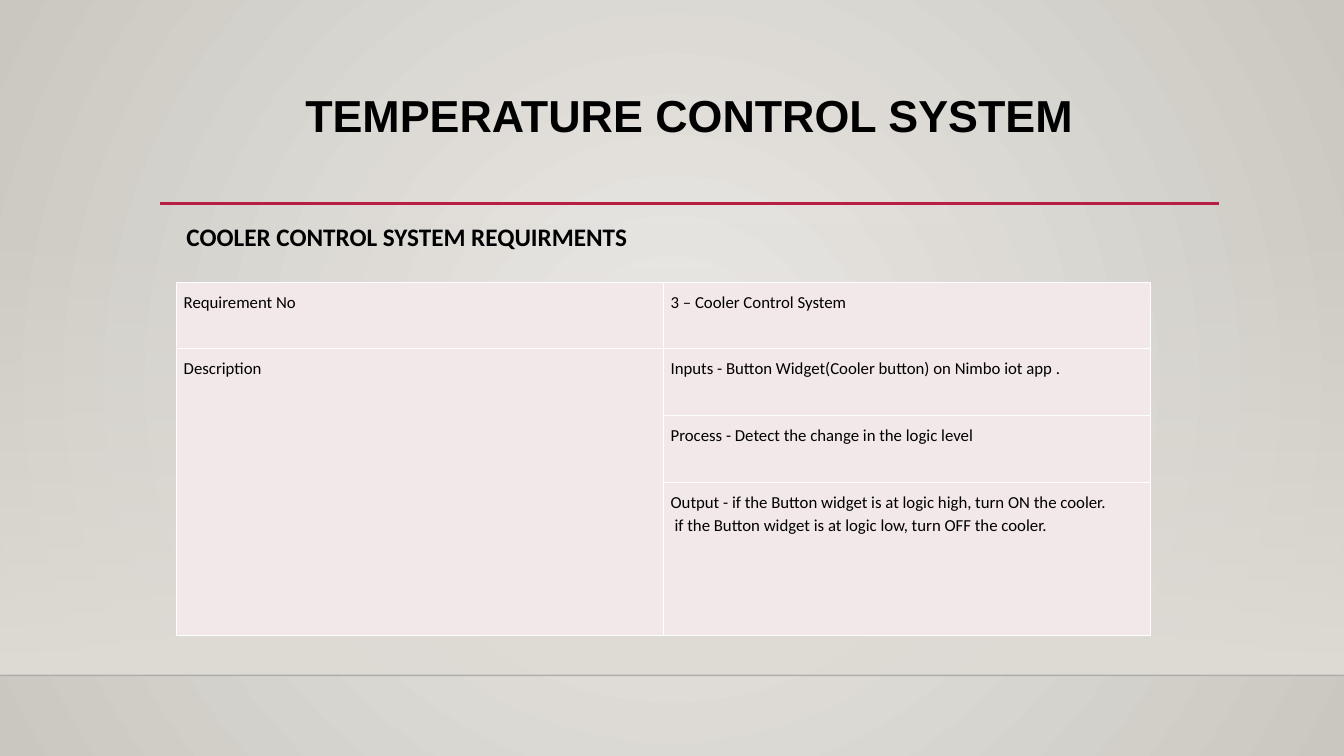
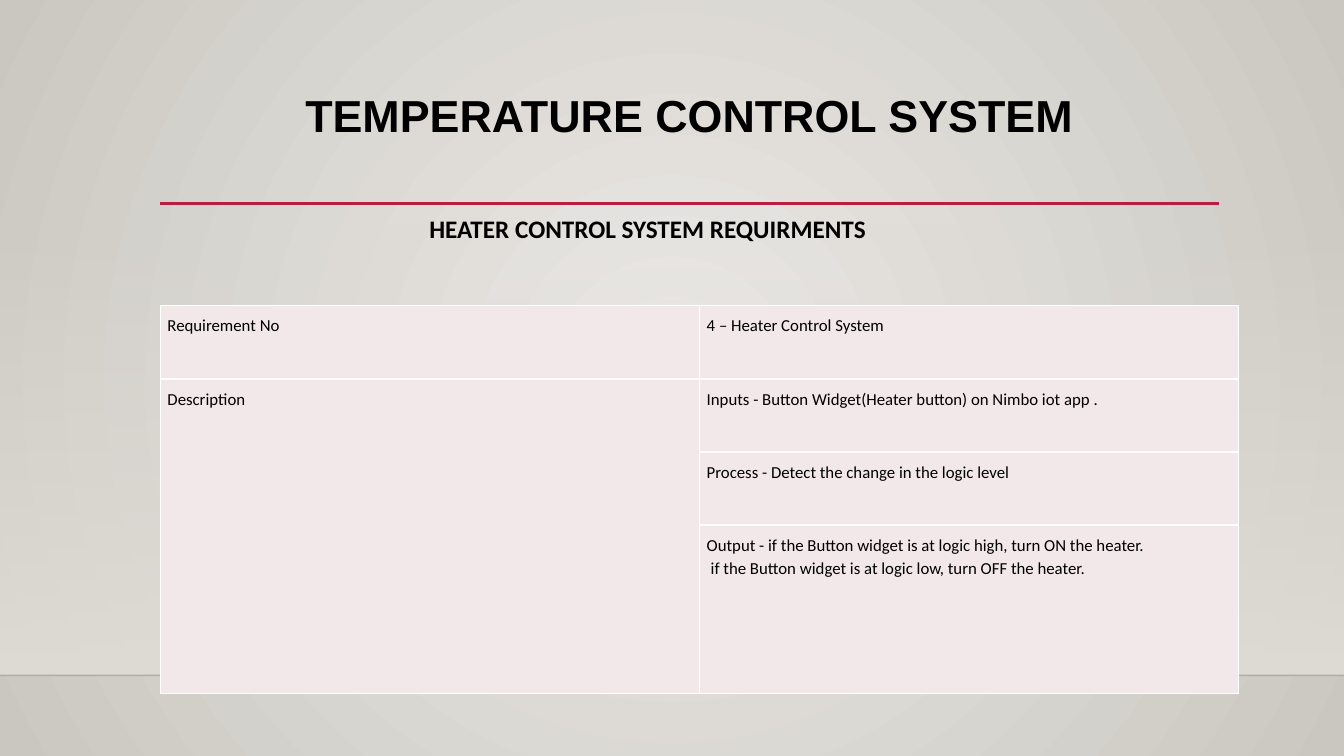
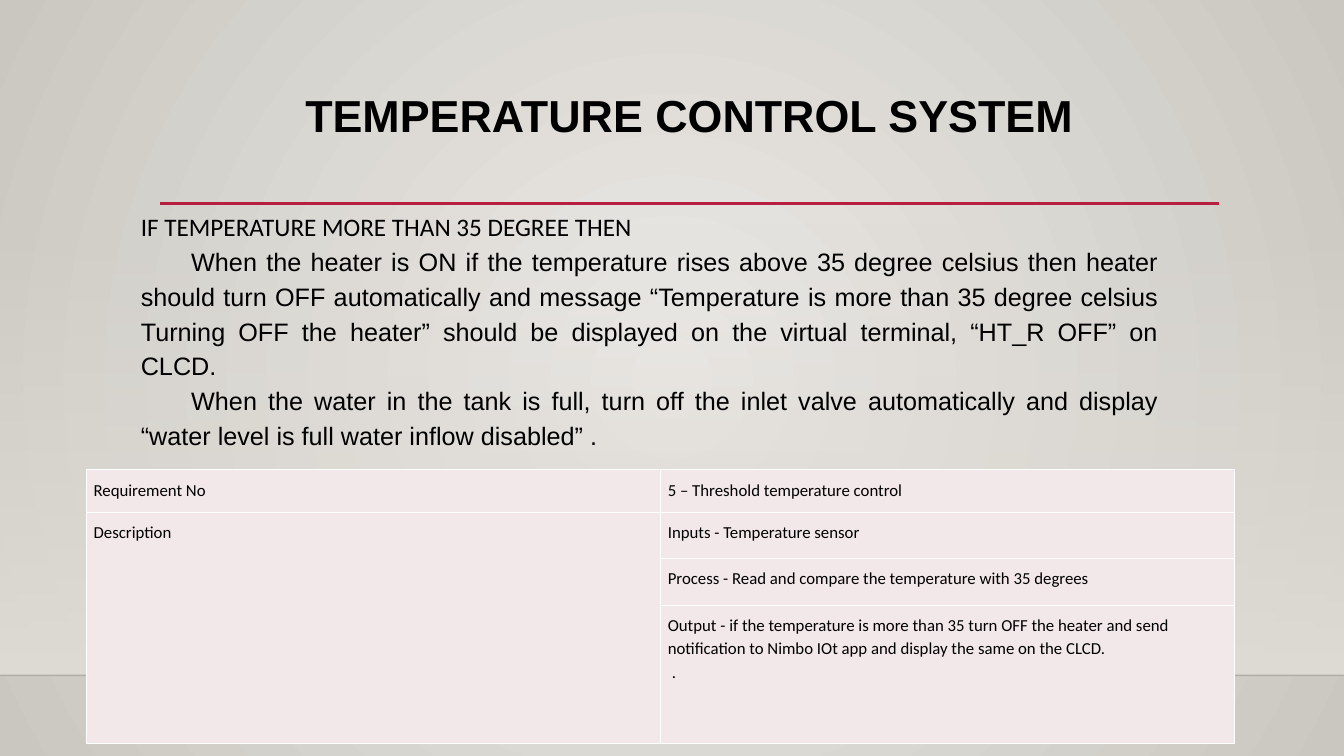
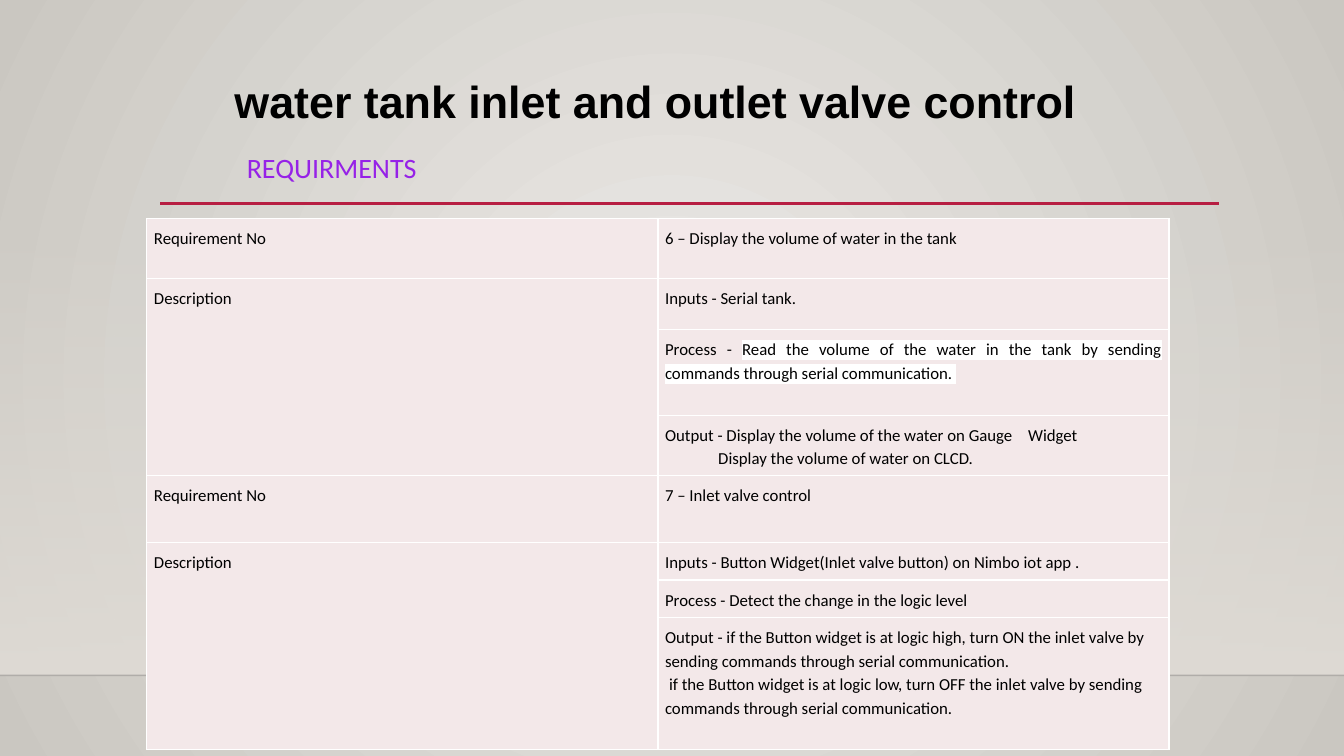
"""Builds four slides of requirement tables for a temperature and water tank control system."""
from lxml import etree
from pptx import Presentation
from pptx.dml.color import RGBColor
from pptx.enum import shapes, text
from pptx.oxml.ns import qn
from pptx.util import Cm, Pt

INK, WHITE, RED, ROSE, VIOLET = "000000", "FFFFFF", "B71E42", "F3E8E9", "9622E7"
WIDE, HIGH = 33.87, 19.05
BASE = 17.02
JUST = text.PP_ALIGN.JUSTIFY


def tint(code):
    return RGBColor.from_string(code)


def write(frame, words, size=18, font="Calibri", color=INK, bold=False, align=None,
          space=None, first=0, tab=0, mark=None, join=False):
    para = frame.paragraphs[-1]
    if para.runs and not join:
        para = frame.add_paragraph()
    if align is not None:
        para.alignment = align
    if space:
        para.line_spacing = space
    props = para._p.get_or_add_pPr()
    if first:
        props.set("marL", "0")
        props.set("indent", str(Cm(first)))
    if tab:
        tabs = etree.SubElement(props, qn("a:tabLst"))
        etree.SubElement(tabs, qn("a:tab"), pos=str(Cm(tab)), algn="l")
    run = para.add_run()
    run.text = words
    run.font.size, run.font.name, run.font.bold = Pt(size), font, bold
    run.font.color.rgb = tint(color)
    if mark:
        glow = etree.Element(qn("a:highlight"))
        etree.SubElement(glow, qn("a:srgbClr"), val=mark)
        run.font._element.find(qn("a:solidFill")).addnext(glow)


deck = Presentation()
deck.slide_width, deck.slide_height = Cm(WIDE), Cm(HIGH)
blank = deck.slide_layouts[6]
slides = [deck.slides.add_slide(blank) for _ in range(4)]

back = blank.background.fill
back.gradient()
for stop, code in zip(back.gradient_stops, ("ECEAE7", "CAC7C1")):
    stop.color.rgb = tint(code)
for stop, place in zip(back.gradient_stops, (0, 1)):
    stop.position = place
line = next(blank.element.iter(qn("a:lin")))
ring = etree.Element(qn("a:path"), {"path": "circle"})
etree.SubElement(ring, qn("a:fillToRect"), l="50000", t="50000", r="50000", b="50000")
line.getparent().replace(line, ring)

draft = slides[0].shapes
band = draft.add_shape(shapes.MSO_SHAPE.RECTANGLE, 0, Cm(5.61), Cm(WIDE), Cm(BASE - 5.61))
band.shadow.inherit = False
band.line.fill.background()
band.fill.gradient()
band.fill.gradient_angle = 270
for stop, place in zip(band.fill.gradient_stops, (0, 1)):
    stop.color.rgb = tint("DFDBD5")
    stop.position = place
etree.SubElement(next(band.element.iter(qn("a:srgbClr"))), qn("a:alpha"), val="0")
shared = [band]
for left, right, top, code, weight, alpha in (
        (0, WIDE, BASE, "000001", 1, 20), (4.04, 30.73, 5.13, RED, 2.5, 100)):
    rule = draft.add_connector(shapes.MSO_CONNECTOR.STRAIGHT, Cm(left), Cm(top), Cm(right), Cm(top))
    rule.line.color.rgb = tint(code)
    rule.line.width = Pt(weight)
    etree.SubElement(next(rule.element.iter(qn("a:srgbClr"))), qn("a:alpha"), val=str(alpha * 1000))
    etree.SubElement(rule.element.spPr, qn("a:effectLst"))
    shared.append(rule)
for part in shared:
    blank.shapes.element.append(part.element)

HEAD = dict(size=32, font="Arial", bold=True)
BODY = dict(font="Arial", align=JUST, space=1.15, first=1.27)
title = (4.04, 2.24, 26.67, 2.92,
         [("TEMPERATURE CONTROL SYSTEM", dict(HEAD, align=text.PP_ALIGN.CENTER, space=0.9))])
boxes = [
    [title, (4.45, 5.46, 25.86, 1.02, [("COOLER CONTROL SYSTEM REQUIRMENTS", dict(bold=True))])],
    [title, (10.57, 5.26, 16.94, 1.02, [("HEATER CONTROL SYSTEM REQUIRMENTS", dict(bold=True))])],
    [title, (3.3, 5.21, 26.14, 7.11, [
        ("IF TEMPERATURE MORE THAN 35 DEGREE THEN", {}),
        ("When the heater is ON if the temperature rises above 35 degree celsius then heater should "
         "turn OFF automatically and message “Temperature is more than 35 degree celsius Turning OFF "
         "the heater” should be displayed on the virtual terminal, “HT_R OFF” on CLCD.", BODY),
        ("When the water in the tank is full, turn off the inlet valve automatically and display "
         "“water level is full water inflow disabled” .", BODY)])],
    [(5.66, 1.73, 25.43, 1.63, [("water tank inlet and outlet valve control", HEAD)]),
     (5.97, 3.68, 8.38, 1.12, [("REQUIRMENTS", dict(size=20, color=VIOLET))])],
]
for slide, group in zip(slides, boxes):
    for left, top, width, height, lines in group:
        frame = slide.shapes.add_textbox(Cm(left), Cm(top), Cm(width), Cm(height)).text_frame
        frame.word_wrap = True
        for words, form in lines:
            write(frame, words, **form)

SENSE = [("Process - Detect the change in the logic level", dict(align=JUST))]
NUDGE = dict(first=0.1)
tables = [
    (0, 4.45, 7.11, 24.54, (1.68, 1.68, 1.68, 3.86), "3 – Cooler Control System",
     "Button Widget(Cooler button) on Nimbo iot app .", SENSE,
     [("Output - if the Button widget is at logic high, turn ON the cooler.", {}),
      ("if the Button widget is at logic low, turn OFF the cooler.", NUDGE)]),
    (1, 4.04, 7.7, 27.18, (1.85, 1.84, 1.84, 4.25), "4 – Heater Control System",
     "Button Widget(Heater button) on Nimbo iot app .", SENSE,
     [("Output - if the Button widget is at logic high, turn ON the heater.", {}),
      ("if the Button widget is at logic low, turn OFF the heater.", NUDGE)]),
    (2, 2.18, 11.84, 28.94, (1.07, 1.17, 1.17, 3.49), "5 – Threshold temperature control",
     "Temperature sensor",
     [("Process - Read and compare the temperature with 35 degrees", dict(align=JUST))],
     [("Output - if the temperature is more than 35 turn OFF the heater and send notification "
       "to Nimbo IOt app and display the same on the CLCD.", {}), (".", NUDGE)]),
    (3, 3.7, 5.51, 25.76, (1.5, 1.3, 2.15, 1.53), "6 – Display the volume of water in the tank",
     "Serial tank.",
     [("Process - ", dict(align=JUST)),
      ("Read the volume of the water in the tank by sending commands through serial "
       "communication. ", dict(mark=WHITE, join=True))],
     [("Output - Display the volume of the water on Gauge\tWidget", dict(align=JUST, tab=9.15)),
      ("Display the volume of water on CLCD.", dict(align=JUST, first=1.34))]),
    (3, 3.7, 11.99, 25.76, (1.68, 0.94, 0.94, 3.33), "7 – Inlet valve control",
     "Button Widget(Inlet valve button) on Nimbo iot app .", SENSE,
     [("Output - if the Button widget is at logic high, turn ON the inlet valve by sending "
       "commands through serial communication.", {}),
      ("if the Button widget is at logic low, turn OFF the inlet valve by sending commands "
       "through serial communication.", NUDGE)]),
]
for page, left, top, width, heights, name, inputs, process, output in tables:
    grid = slides[page].shapes.add_table(
        4, 2, Cm(left), Cm(top), Cm(width), Cm(sum(heights))).table
    grid.first_row = grid.horz_banding = False
    for row, height in zip(grid.rows, heights):
        row.height = Cm(height)
    for cell in grid.iter_cells():
        cell.margin_left = cell.margin_right = cell.margin_top = cell.margin_bottom = Cm(0.18)
        cell.fill.solid()
        cell.fill.fore_color.rgb = tint(ROSE)
        props = cell._tc.get_or_add_tcPr()
        for spot, side in enumerate(("lnL", "lnR", "lnT", "lnB")):
            edge = etree.Element(qn("a:" + side), w=str(Pt(1)))
            solid = etree.SubElement(edge, qn("a:solidFill"))
            etree.SubElement(solid, qn("a:srgbClr"), val=WHITE)
            props.insert(spot, edge)
    grid.cell(1, 0).merge(grid.cell(3, 0))
    for row, col, lines in (
            (0, 0, [("Requirement No", {})]), (0, 1, [(name, {})]),
            (1, 0, [("Description", {})]), (1, 1, [("Inputs - " + inputs, {})]),
            (2, 1, process), (3, 1, output)):
        for words, form in lines:
            write(grid.cell(row, col).text_frame, words, size=12, space=1.15, **form)

deck.save("out.pptx")
